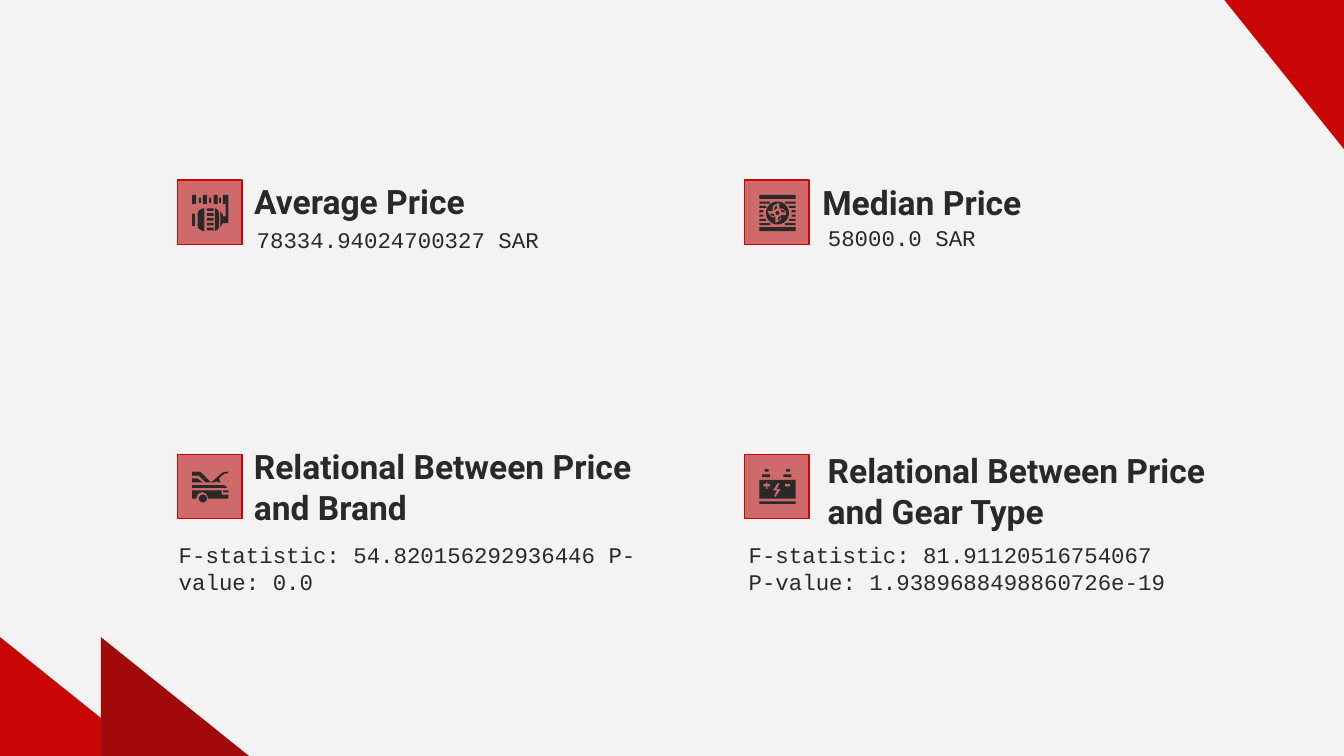
import math

from lxml import etree
from pptx import Presentation
from pptx.dml.color import RGBColor
from pptx.enum.shapes import MSO_SHAPE
from pptx.enum.text import MSO_ANCHOR, MSO_AUTO_SIZE, PP_ALIGN
from pptx.oxml.ns import qn
from pptx.util import Inches, Pt

RECT, OVAL, TRIANGLE = MSO_SHAPE.RECTANGLE, MSO_SHAPE.OVAL, MSO_SHAPE.RIGHT_TRIANGLE
TOP, MIDDLE = MSO_ANCHOR.TOP, MSO_ANCHOR.MIDDLE
LEFT = PP_ALIGN.LEFT
NO_FIT = MSO_AUTO_SIZE.NONE

RED, DARK_RED, TILE_RED = "CA0505", "A20A0A", "CE6A6A"
INK, PAPER = "292929", "F3F3F3"


def paint(fill, color):
    fill.solid()
    fill.fore_color.rgb = RGBColor.from_string(color)


def add_solid(shapes, kind, left, top, width, height, color):
    solid = shapes.add_shape(kind, Inches(left), Inches(top), Inches(width), Inches(height))
    solid.shadow.inherit = False
    paint(solid.fill, color)
    solid.line.fill.background()
    return solid


# Widescreen slide, 16 by 9
prs = Presentation()
prs.slide_width = Inches(10)
prs.slide_height = Inches(10) * 9 // 16
slide = prs.slides.add_slide(prs.slide_layouts.get_by_name("Comparison"))
paint(slide.background.fill, PAPER)

# Corner triangles
add_solid(slide.shapes, TRIANGLE, 0, 4.74, 1.11, 0.89, RED)
add_solid(slide.shapes, TRIANGLE, 0.75, 4.74, 1.11, 0.89, DARK_RED)
top_corner = add_solid(slide.shapes, TRIANGLE, 9.11, 0, 0.89, 1.11, RED)
top_corner.rotation = 180

# Headings and their figures: text, then left, top, width, height
sections = [
    (("Average Price", 1.79, 1.26, 3.15, 0.48),
     ("78334.94024700327 SAR", 1.81, 1.58, 3.15, 0.55)),
    (("Median Price", 6.02, 1.26, 3.15, 0.48),
     ("58000.0 SAR", 6.06, 1.57, 3.15, 0.31)),
    (("Relational Between Price and Brand", 1.79, 3.38, 3.15, 0.48),
     ("F-statistic: 54.820156292936446 P-value: 0.0", 1.23, 3.93, 3.62, 0.55)),
    (("Relational Between Price and Gear Type", 6.06, 3.41, 3.15, 0.48),
     ("F-statistic: 81.91120516754067 P-value: 1.9389688498860726e-19", 5.47, 3.93, 3.45, 0.55)),
]
heading_style = ("Roboto", 18, True, MIDDLE)
figure_style = ("Courier New", 12, False, TOP)

for number, (heading, figure) in enumerate(sections):
    heading_box = slide.shapes.title if number == 0 else slide.shapes.add_textbox(0, 0, 0, 0)
    figure_box = slide.placeholders[number + 1]
    for box, content, style in ((heading_box, heading, heading_style),
                                (figure_box, figure, figure_style)):
        text, *place = content
        font_name, size, bold, anchor = style
        box.left, box.top, box.width, box.height = [Inches(length) for length in place]
        frame = box.text_frame
        frame.word_wrap = True
        frame.auto_size = NO_FIT
        frame.vertical_anchor = anchor
        frame.margin_left = frame.margin_right = Inches(0.1)
        frame.margin_top = frame.margin_bottom = Inches(0.1)
        paragraph = frame.paragraphs[0]
        properties = paragraph._p.get_or_add_pPr()
        properties.set("marL", "0")
        properties.set("indent", "0")
        etree.SubElement(properties, qn("a:buNone"))
        paragraph.alignment = LEFT
        paragraph.space_before = Pt(0)
        paragraph.line_spacing = 1.0
        run = paragraph.add_run()
        run.text = text
        run.font.name, run.font.size, run.font.bold = font_name, Pt(size), bold
        paint(run.font.fill, INK)

# Icon tiles
for left in (1.32, 5.54):
    for top in (1.34, 3.38):
        tile = add_solid(slide.shapes, RECT, left, top, 0.48, 0.48, TILE_RED)
        paint(tile.line.fill, RED)
        tile.line.width = Pt(0.75)

# Icon parts in hundredths of an inch: bars and discs are left, top, width, height;
# each outline is a list of contours, and inner contours are holes
alternator_bars = [(0, 14, 2, 9)]
alternator_bars += [(11, 10 + 3.6 * row, 5, 2) for row in range(5)]
alternator_bars += [(8 * column, 0, 3, 7) for column in range(3)]
alternator_bars += [(5 + 7.5 * column, 2, 1.6, 4) for column in range(3)]
alternator_outlines = [
    [[(4, 14), (5, 11.5), (8, 10), (9, 10), (9, 27), (8, 27), (5, 25.5), (4, 23)]],
    [[(17, 10), (19, 11), (20, 13), (20, 24), (19, 26), (17, 27)]],
    [[(23, 0), (23, 7), (25, 7), (25, 16), (23, 16), (23, 15), (21, 12),
      (21, 24), (23, 21), (27, 21), (27, 0)]],
]

hood_outlines = [
    [[(0, 16), (22, 16), (22, 19), (27, 19), (27, 22), (12, 22), (10.7, 18.6),
      (7.5, 17), (4.3, 18.6), (3, 22), (0, 22)]],
    [[(0, 12), (23, 12), (25, 12.5), (26, 14), (0, 14)]],
    [[(0, 2), (0, 5), (5, 5), (10, 10), (14, 10), (6, 2)]],
    [[(0, 7), (4, 7), (8, 10), (0, 10)]],
    [[(26, 2), (23, 2.5), (21, 4), (14, 10), (17, 10), (18, 9), (19, 10), (21, 10),
      (20, 7), (22, 5), (24, 3.5), (27, 3), (27, 2)]],
]

battery_bars = [(0, 24, 27, 2)]
for terminal in (2, 18):
    battery_bars += [(terminal, 4, 6, 2), (terminal + 2, 0, 3, 2)]
battery_outlines = [[
    [(0, 8), (0, 22), (27, 22), (27, 8)],
    [(8, 13), (6, 13), (6, 15), (5, 15), (5, 13), (3, 13), (3, 11), (5, 11),
     (5, 10), (6, 10), (6, 11), (8, 11)],
    [(12, 21), (11, 20), (13, 16), (10, 16), (14, 10), (15, 11), (13, 15), (16, 15)],
    [(23, 13), (19, 13), (19, 11), (23, 11)],
]]

radiator_bars = [(0, 0, 27, 3), (0, 24, 27, 3)]
for row, length in enumerate((8, 5, 3, 3, 5, 8)):
    radiator_bars += [(left, 5 + 3.2 * row, length, 1.6) for left in (0, 27 - length)]
angles = [math.radians(10 * step) for step in range(36)]
fan_rim = [(13.5 + 8.5 * math.cos(a), 13.5 + 8.5 * math.sin(a)) for a in angles]
fan_opening = [(10, 11), (10, 8.5), (12, 7), (15, 6), (15, 11), (15, 10), (18, 10.5),
               (20, 13), (20, 15), (16, 15), (16, 16), (16.5, 18), (14, 20), (12, 21),
               (12, 16), (11, 17), (9, 16.5), (7, 14), (6, 12), (10, 12)]
radiator_outlines = [[fan_rim, fan_opening]]
blade = [(11, 11), (11.5, 9), (13, 8), (13, 10), (12, 11)]
for quarter in range(4):
    radiator_outlines.append([blade])
    blade = [(y, 27 - x) for x, y in blade]

icons = [
    (1.43, 1.45, alternator_bars, [], alternator_outlines),
    (5.65, 1.45, radiator_bars, [(12, 12, 3, 3)], radiator_outlines),
    (1.43, 3.49, [(23, 16, 4, 1.5)], [(5, 19, 6, 6)], hood_outlines),
    (5.65, 3.49, battery_bars, [], battery_outlines),
]

# Icons, one group each
for icon_left, icon_top, bars, discs, outlines in icons:
    parts = slide.shapes.add_group_shape().shapes
    for kind, boxes in ((RECT, bars), (OVAL, discs)):
        for x, y, width, height in boxes:
            add_solid(parts, kind, icon_left + x / 100, icon_top + y / 100,
                      width / 100, height / 100, INK)
    for contours in outlines:
        # Whole thousandths of an inch keep the curves smooth
        scaled = [[(10 * x, 10 * y) for x, y in contour] for contour in contours]
        builder = parts.build_freeform(*scaled[0][0], scale=Inches(0.001))
        builder.add_line_segments(scaled[0][1:], close=True)
        for hole in scaled[1:]:
            builder.move_to(*hole[0])
            builder.add_line_segments(hole[1:], close=True)
        part = builder.convert_to_shape(Inches(icon_left), Inches(icon_top))
        part.shadow.inherit = False
        paint(part.fill, INK)
        part.line.fill.background()

prs.save("out.pptx")
